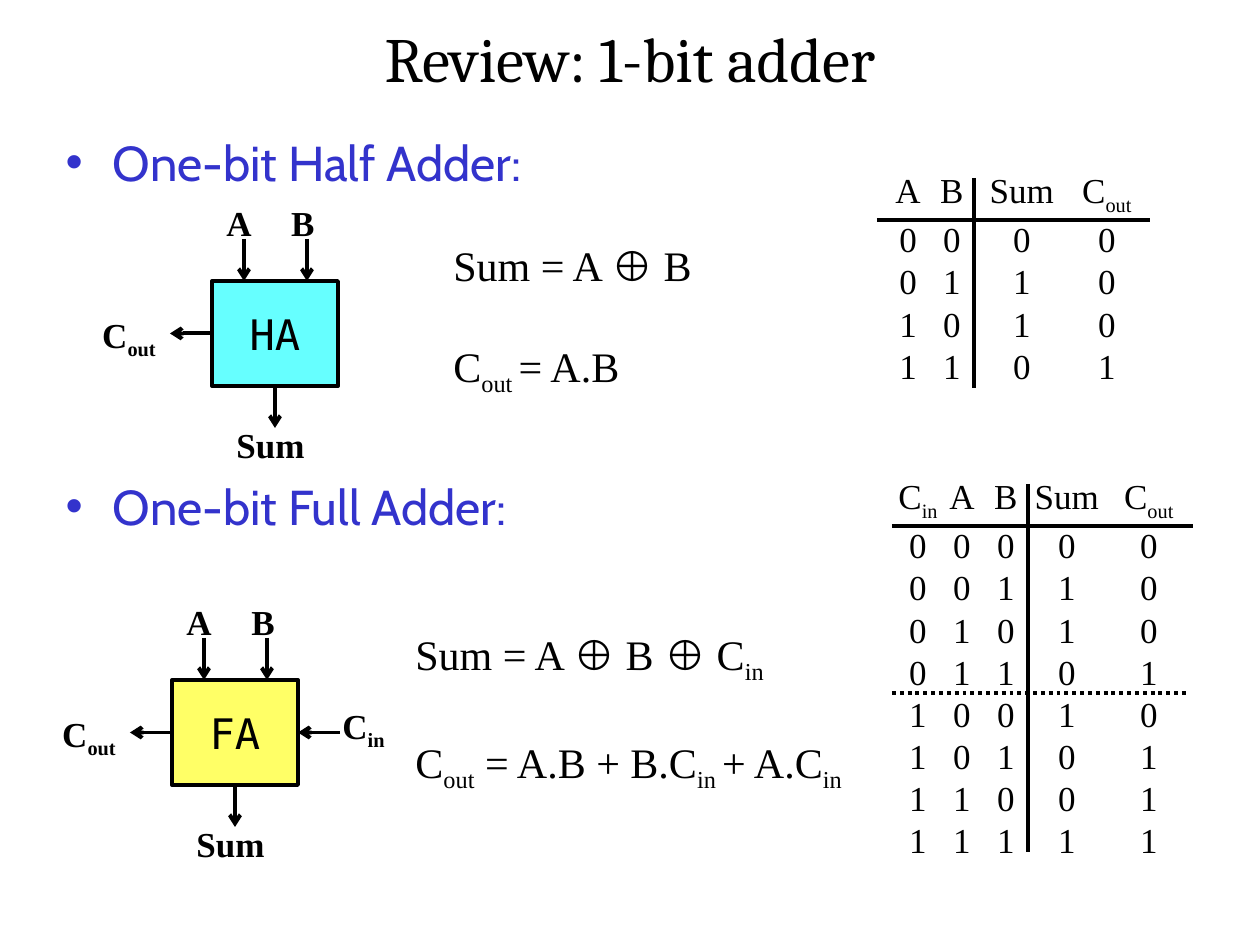
from itertools import product

from lxml import etree
from pptx import Presentation
from pptx.dml.color import RGBColor
from pptx.enum.dml import MSO_LINE
from pptx.enum.shapes import MSO_CONNECTOR, MSO_SHAPE
from pptx.enum.text import MSO_ANCHOR, MSO_AUTO_SIZE, PP_ALIGN
from pptx.oxml.ns import qn
from pptx.util import Pt

BLACK = RGBColor(0x00, 0x00, 0x00)
BLUE = RGBColor(0x33, 0x33, 0xCC)
CYAN = RGBColor(0x66, 0xFF, 0xFF)
YELLOW = RGBColor(0xFF, 0xFF, 0x66)
SERIF, MONO = "Times New Roman", "DejaVu Sans Mono"
LEFT, CENTER = PP_ALIGN.LEFT, PP_ALIGN.CENTER
TOP, MIDDLE = MSO_ANCHOR.TOP, MSO_ANCHOR.MIDDLE
NO_FIT, DOTTED = MSO_AUTO_SIZE.NONE, MSO_LINE.ROUND_DOT
STRAIGHT, RECT = MSO_CONNECTOR.STRAIGHT, MSO_SHAPE.RECTANGLE
SIDE_LEFT, SIDE_BOTTOM, SIDE_RIGHT = 1, 2, 3


def px(n):
    """Convert pixels at 126 to the inch into EMU."""
    return round(n * 914400 / 126)


def box(*lengths):
    """Convert a row of pixel lengths into EMU."""
    return [px(n) for n in lengths]


def write(p, text, size, font=SERIF, color=BLACK, bold=False, align=LEFT):
    """Fill a paragraph, lowering the parts between underscores."""
    p.alignment = align
    p.font.size, p.font.name, p.font.bold = Pt(size), font, bold
    p.font.color.rgb = color
    for i, part in enumerate(text.split("_")):
        if part:
            r = p.add_run()
            r.text = part
            if i % 2:
                r._r.get_or_add_rPr().set("baseline", "-25000")


def add_line(slide, x1, y1, x2, y2, arrow=False, dash=None):
    """Draw a black line, with an open arrowhead at its end if asked."""
    c = slide.shapes.add_connector(STRAIGHT, *box(x1, y1, x2, y2))
    c.line.color.rgb = BLACK
    c.line.width = Pt(2.25)
    if dash:
        c.line.dash_style = dash
    if arrow:
        etree.SubElement(c.line._get_or_add_ln(), qn("a:tailEnd"), type="arrow")
    etree.SubElement(c._element.spPr, qn("a:effectLst"))
    return c


def add_heading(slide):
    """Place the slide title."""
    sp = slide.shapes.title
    sp.left, sp.top, sp.width, sp.height = box(0, 10, 1260, 95)
    sp.text_frame.auto_size = NO_FIT
    sp.text_frame.vertical_anchor = MIDDLE
    write(sp.text_frame.paragraphs[0], "Review: 1-bit adder", 36, "Cambria", align=CENTER)


def add_topics(slide):
    """Place the two bulleted topics."""
    sp = slide.placeholders[1]
    sp.left, sp.top, sp.width, sp.height = box(53, 126, 1155, 766)
    tf = sp.text_frame
    tf.auto_size = NO_FIT
    topics = ("One-bit Half Adder:", 0), ("One-bit Full Adder:", 163)
    for p, (text, gap) in zip((tf.paragraphs[0], tf.add_paragraph()), topics):
        p.space_before = Pt(gap)
        write(p, text, 28, "Cabin", BLUE)


def add_label(slide, x, y, w, text):
    """Place one bold signal name."""
    tf = slide.shapes.add_textbox(*box(x, y, w, 54)).text_frame
    tf.word_wrap = False
    tf.vertical_anchor = MIDDLE
    write(tf.paragraphs[0], text, 20, bold=True, align=CENTER)


def add_adder(slide, x, y, name, fill, carry_in=False):
    """Draw an adder block at x, y with its signals around it."""
    w, h, reach = 126, 105, 42
    mid_x, mid_y = x + w / 2, y + h / 2
    sp = slide.shapes.add_shape(RECT, *box(x, y, w, h))
    sp.shadow.inherit = False
    sp.fill.solid()
    sp.fill.fore_color.rgb = fill
    sp.line.color.rgb = BLACK
    sp.line.width = Pt(2.25)
    sp.text_frame.word_wrap = False
    sp.text_frame.vertical_anchor = MIDDLE
    write(sp.text_frame.paragraphs[0], name, 24, MONO, align=CENTER)

    for dx, text in (2, "A"), (66, "B"):
        add_label(slide, x + dx, y - 86, 50, text)
    add_label(slide, x - 124, y + 29, 82, "C_out_")
    add_label(slide, x + 12, y + 136, 93, "Sum")

    for dx in (32, 95):
        add_line(slide, x + dx, y - reach, x + dx, y, arrow=True)
    c = add_line(slide, x, mid_y, x - reach, mid_y, arrow=True)
    c.begin_connect(sp, SIDE_LEFT)
    c = add_line(slide, mid_x, y + h, mid_x, y + h + reach, arrow=True)
    c.begin_connect(sp, SIDE_BOTTOM)
    if carry_in:
        add_label(slide, x + 157, y + 21, 69, "C_in_")
        c = add_line(slide, x + w + reach, mid_y, x + w, mid_y, arrow=True)
        c.end_connect(sp, SIDE_RIGHT)


def add_equations(slide, x, y, w, h, lines, gap):
    """Write the logic equations, a gap in points apart."""
    tf = slide.shapes.add_textbox(*box(x, y, w, h)).text_frame
    tf.word_wrap = True
    for i, text in enumerate(lines):
        p = tf.add_paragraph() if i else tf.paragraphs[0]
        p.space_before = Pt(gap if i else 0)
        write(p, text, 24)


def add_truth_table(slide, x, y, widths, inputs, rule, bar_end):
    """Build the truth table of an adder with its ruled lines."""
    head, row_h, n = 48, 42, len(inputs)
    rows = [inputs + ["Sum", "C_out_"]]
    for bits in product((0, 1), repeat=n):
        carry, total = divmod(sum(bits), 2)
        rows.append([str(v) for v in (*bits, total, carry)])
    height = head + row_h * (len(rows) - 1)
    frame = slide.shapes.add_table(len(rows), n + 2, *box(x, y, sum(widths), height))
    table = frame.table
    table.first_row = table.horz_banding = False
    for column, w in zip(table.columns, widths):
        column.width = px(w)
    for i, values in enumerate(rows):
        table.rows[i].height = px(row_h if i else head)
        for j, text in enumerate(values):
            cell = table.cell(i, j)
            cell.fill.background()
            cell.margin_left = cell.margin_right = 0
            cell.margin_top = cell.margin_bottom = 0
            cell.vertical_anchor = MIDDLE if i else TOP
            write(cell.text_frame.paragraphs[0], text, 20, align=CENTER)
    bar = x + sum(widths[:n])
    add_line(slide, x + rule[0], y + head, x + rule[1], y + head)
    add_line(slide, bar, y + 6, bar, y + bar_end)


def main():
    """Build the slide and save it."""
    prs = Presentation()
    prs.slide_width, prs.slide_height = box(1260, 945)
    slide = prs.slides.add_slide(prs.slide_layouts[1])
    add_heading(slide)
    add_topics(slide)

    add_adder(slide, 212, 281, "HA", CYAN)
    add_equations(slide, 441, 233, 267, 165, ["Sum = A ⊕ B", "C_out _= A.B"], 29)
    add_truth_table(slide, 886, 172, [44, 44, 96, 74], ["A", "B"], (-9, 264), 216)

    add_adder(slide, 172, 680, "FA", YELLOW, carry_in=True)
    add_equations(slide, 403, 622, 471, 165,
                  ["Sum = A ⊕ B ⊕ C_in_", "C_out_ = A.B + B.C_in _+ A.C_in_"], 29)
    add_truth_table(slide, 896, 478, [44, 44, 44, 78, 86], ["C_in_", "A", "B"],
                    (-4, 297), 374)
    add_line(slide, 892, 693, 1187, 693, dash=DOTTED)
    prs.save("out.pptx")


if __name__ == "__main__":
    main()
